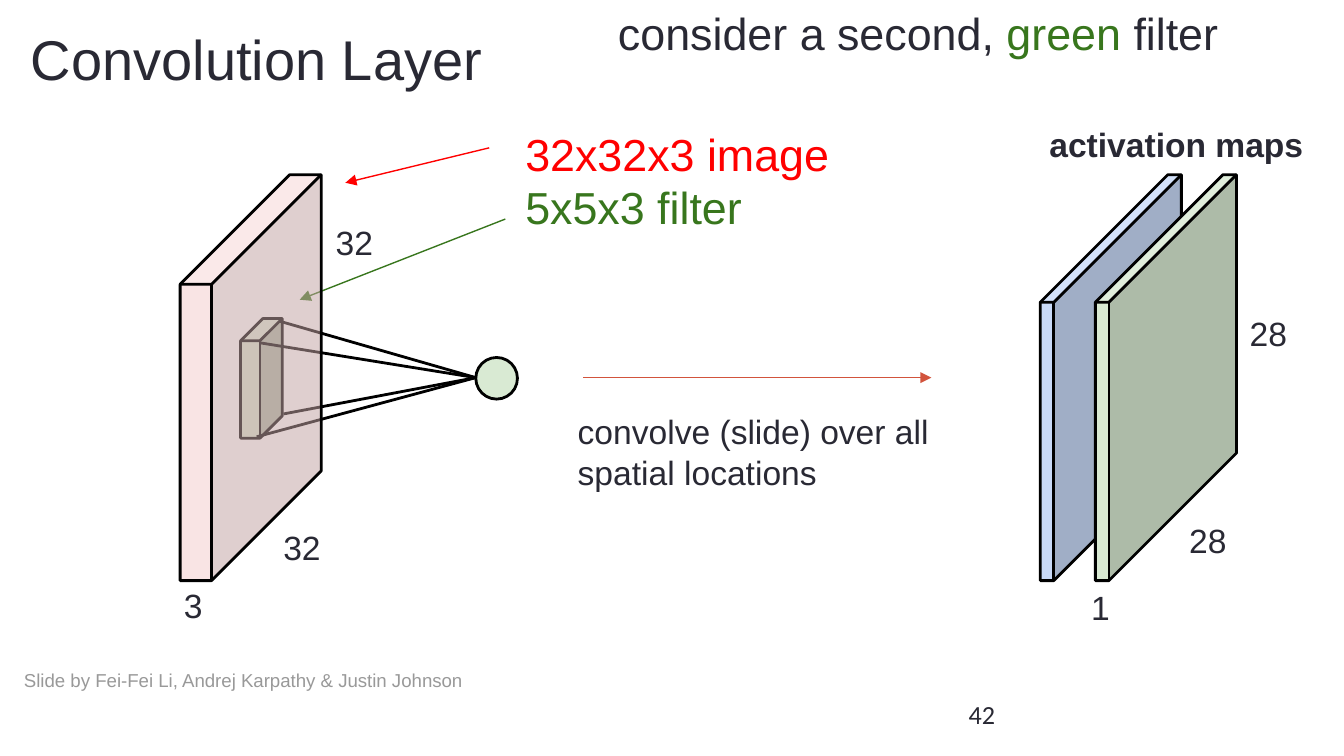
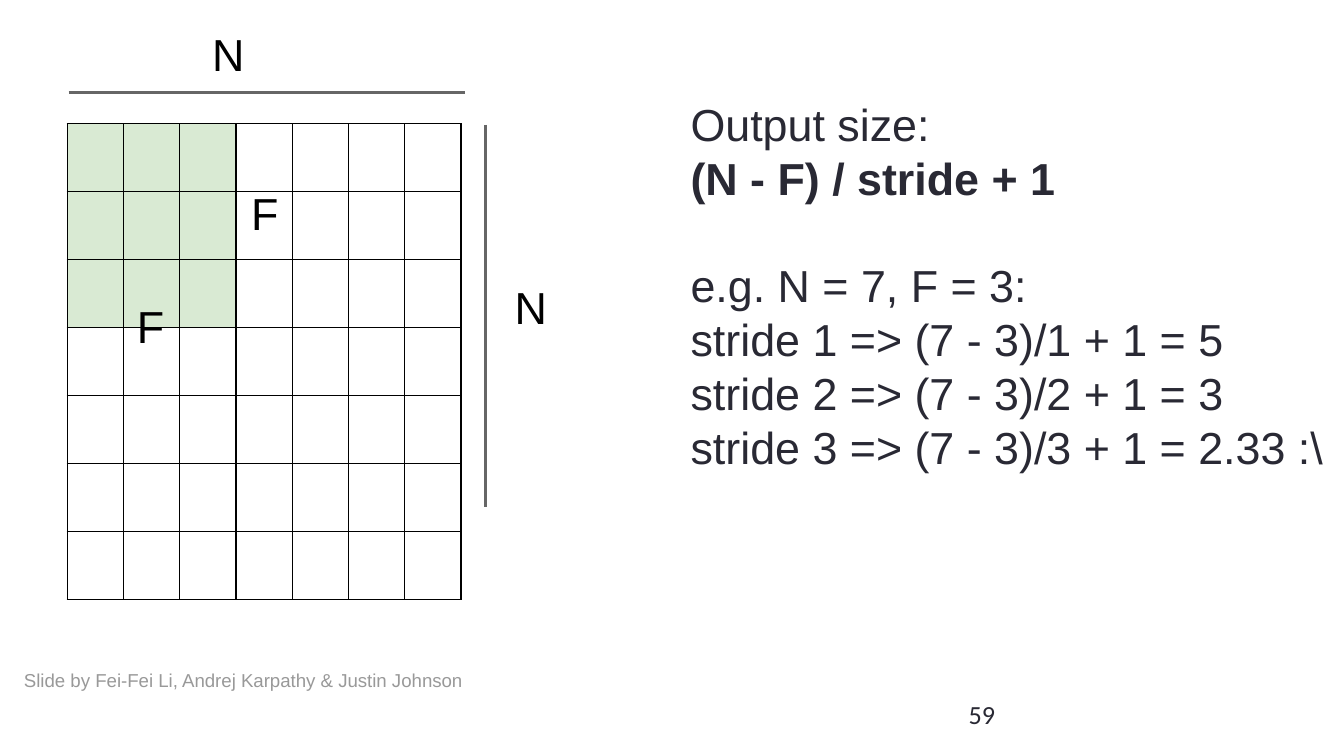
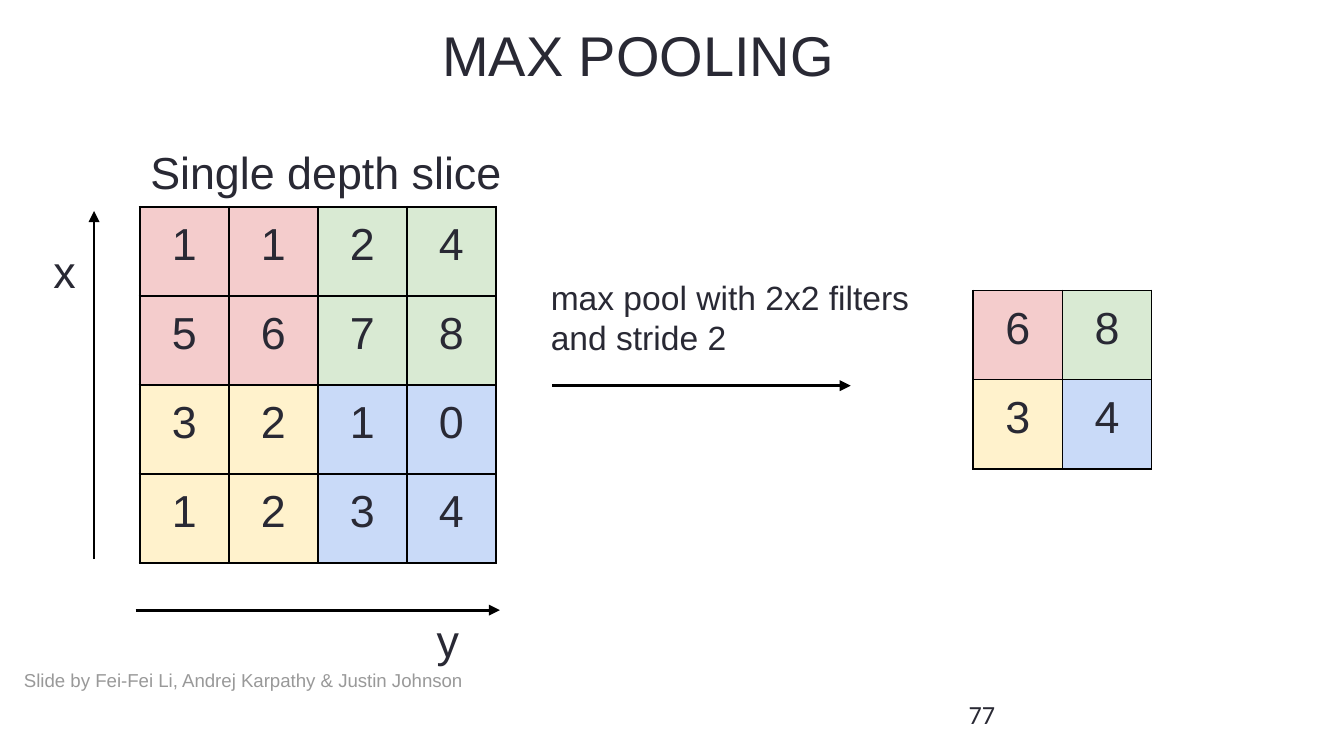
"""Three lecture slides on convolution layers, output size and max pooling."""
from dataclasses import dataclass
from typing import NamedTuple, Optional, Sequence

from lxml import etree
from pptx import Presentation
from pptx import util as u
from pptx.dml import color
from pptx.enum import shapes, text
from pptx.oxml import ns

INK, BLACK, GREY, MUTED = "292934", "000000", "666666", "999999"
RED, GREEN, RUST = "FF0000", "38761D", "D2533C"
PINK, MINT, CREAM, SKY, WHITE = "F4CCCC", "D9EAD3", "FFF2CC", "C9DAF8", "FFFFFF"
INSET = u.Inches(0.1)
TITLE_ONLY, BLANK = 5, 6
CREDIT = "Slide by Fei-Fei Li, Andrej Karpathy & Justin Johnson"


class Box(NamedTuple):
    left: float
    top: float
    width: float
    height: float


class Point(NamedTuple):
    x: float
    y: float


class Run(NamedTuple):
    words: str
    hue: str = INK
    bold: bool = False


@dataclass
class Line:
    runs: Sequence[Run]
    space_before: float = 0


@dataclass
class Label:
    box: Box
    lines: Sequence[Line]
    size: float = 18
    font: str = "Arial"
    middle: bool = False


@dataclass
class Stroke:
    start: Point
    end: Point
    hue: str = BLACK
    width: float = 1.5
    arrow: bool = False


@dataclass
class Solid:
    box: Box
    fill: str
    depth: Optional[float] = None
    opacity: int = 100


@dataclass
class Grid:
    box: Box
    fills: Sequence[Sequence[Optional[str]]]
    values: Sequence[str] = ()
    border: float = 0.75


def rgb(hue: str) -> color.RGBColor:
    return color.RGBColor.from_string(hue)


def inches(lengths: Sequence[float]) -> list:
    return [u.Inches(length) for length in lengths]


def label(box: Box, words: str, size: float = 18, hue: str = INK, bold: bool = False) -> Label:
    return Label(box, [Line([Run(words, hue, bold)])], size)


def add_run(paragraph, run: Run, size: float, font: str) -> None:
    piece = paragraph.add_run()
    piece.text = run.words
    piece.font.size = u.Pt(size)
    piece.font.name = font
    piece.font.bold = run.bold
    piece.font.color.rgb = rgb(run.hue)


def write(frame, content: Label) -> None:
    frame.word_wrap = True
    frame.auto_size = text.MSO_AUTO_SIZE.NONE
    frame.vertical_anchor = text.MSO_ANCHOR.MIDDLE if content.middle else text.MSO_ANCHOR.TOP
    frame.margin_left = frame.margin_right = INSET
    frame.margin_top = frame.margin_bottom = INSET
    for index, line in enumerate(content.lines):
        paragraph = frame.add_paragraph() if index else frame.paragraphs[0]
        paragraph.alignment = text.PP_ALIGN.LEFT
        if line.space_before:
            paragraph.space_before = u.Pt(line.space_before)
        for run in line.runs:
            add_run(paragraph, run, content.size, content.font)


def draw_label(slide, content: Label) -> None:
    write(slide.shapes.add_textbox(*inches(content.box)).text_frame, content)


def draw_title(slide, box: Box, words: str) -> None:
    title = slide.shapes.title
    title.left, title.top, title.width, title.height = inches(box)
    write(title.text_frame, label(box, words, 30))


def draw_stroke(slide, stroke: Stroke) -> None:
    connector = slide.shapes.add_connector(
        shapes.MSO_CONNECTOR.STRAIGHT, *inches(stroke.start + stroke.end))
    connector.line.color.rgb = rgb(stroke.hue)
    connector.line.width = u.Pt(stroke.width)
    if stroke.arrow:
        outline = connector._element.spPr.find(ns.qn("a:ln"))
        etree.SubElement(outline, ns.qn("a:tailEnd"), type="triangle")
    etree.SubElement(connector._element.spPr, ns.qn("a:effectLst"))


def draw_solid(slide, solid: Solid) -> None:
    kind = shapes.MSO_SHAPE.OVAL if solid.depth is None else shapes.MSO_SHAPE.CUBE
    body = slide.shapes.add_shape(kind, *inches(solid.box))
    body.shadow.inherit = False
    if solid.depth is not None:
        body.adjustments[0] = solid.depth
    body.fill.solid()
    body.fill.fore_color.rgb = rgb(solid.fill)
    if solid.opacity < 100:
        tint = body._element.spPr.find(".//" + ns.qn("a:srgbClr"))
        etree.SubElement(tint, ns.qn("a:alpha"), val=str(solid.opacity * 1000))
    body.line.color.rgb = rgb(BLACK)
    body.line.width = u.Pt(1.5)


def add_borders(cell, width: float) -> None:
    properties = cell._tc.get_or_add_tcPr()
    for index, side in enumerate(("lnL", "lnR", "lnT", "lnB")):
        edge = etree.Element(ns.qn(f"a:{side}"), w=str(u.Pt(width)))
        paint = etree.SubElement(edge, ns.qn("a:solidFill"))
        etree.SubElement(paint, ns.qn("a:srgbClr"), val=BLACK)
        properties.insert(index, edge)


def draw_grid(slide, grid: Grid) -> None:
    rows, columns = len(grid.fills), len(grid.fills[0])
    table = slide.shapes.add_table(rows, columns, *inches(grid.box)).table
    table.first_row = table.horz_banding = False
    for column in table.columns:
        column.width = u.Inches(grid.box.width / columns)
    for row in table.rows:
        row.height = u.Inches(grid.box.height / rows)
    for r, fills in enumerate(grid.fills):
        for c, fill in enumerate(fills):
            cell = table.cell(r, c)
            cell.margin_left = cell.margin_right = INSET
            cell.margin_top = cell.margin_bottom = INSET
            if fill:
                cell.fill.solid()
                cell.fill.fore_color.rgb = rgb(fill)
            else:
                cell.fill.background()
            add_borders(cell, grid.border)
            if grid.values:
                paragraph = cell.text_frame.paragraphs[0]
                paragraph.alignment = text.PP_ALIGN.CENTER
                add_run(paragraph, Run(grid.values[r][c]), 24, "Arial")


def draw_all(slide, parts: Sequence) -> None:
    drawers = {Label: draw_label, Stroke: draw_stroke, Solid: draw_solid, Grid: draw_grid}
    for part in parts:
        drawers[type(part)](slide, part)


def start_slide(deck, layout: int, number: int):
    slide = deck.slides.add_slide(deck.slide_layouts[layout])
    credit = Line([Run(CREDIT, MUTED)])
    draw_all(slide, [
        Label(Box(0.08, 4.85, 3.61, 0.42), [credit], 10, middle=True),
        Label(Box(7.11, 5.1, 0.6, 0.43), [Line([Run(str(number))])], 14, "Calibri", True),
    ])
    return slide


def convolution_slide(deck) -> None:
    slide = start_slide(deck, TITLE_ONLY, 42)
    draw_title(slide, Box(0.13, 0.08, 8.42, 0.69), "Convolution Layer")
    neuron = Point(3.54, 2.81)
    filter_corners = [Point(1.91, 3.25), Point(1.93, 2.55), Point(2.08, 2.39), Point(2.11, 3.08)]
    sizes = [
        ("32", 2.01, 3.82), ("32", 2.4, 1.55), ("3", 1.27, 4.25),
        ("1", 8.02, 4.27), ("28", 8.75, 3.77), ("28", 9.2, 2.23),
    ]
    activation_maps = [
        Solid(Box(left, 1.3, 1.05, 3.02), fill, 0.904)
        for left, fill in ((7.74, SKY), (8.15, MINT))
    ]
    draw_all(slide, [
        *activation_maps,
        Solid(Box(1.79, 2.37, 0.31, 0.89), MINT, 0.534),
        Solid(Box(neuron.x, 2.66, 0.31, 0.31), MINT),
        *(Stroke(corner, neuron) for corner in filter_corners),
        *(label(Box(left, top, 0.54, 0.34), size) for size, left, top in sizes),
        Label(Box(3.81, 0.84, 3.98, 0.6),
              [Line([Run("32x32x3 image", RED)]), Line([Run("5x5x3 filter", GREEN)])], 24),
        Stroke(Point(3.64, 1.1), Point(2.57, 1.36), RED, 0.75, True),
        Stroke(Point(3.76, 1.63), Point(2.23, 2.23), GREEN, 0.75, True),
        Stroke(Point(4.34, 2.81), Point(6.93, 2.81), RUST, 0.75, True),
        label(Box(4.2, 2.96, 3.58, 0.89), "convolve (slide) over all spatial locations"),
        label(Box(7.71, 0.82, 2.26, 0.59), "activation maps", bold=True),
        Solid(Box(1.34, 1.3, 1.05, 3.02), PINK, 0.777, 52),
        Label(Box(4.5, -0.06, 5.5, 0.31),
              [Line([Run("consider a second, "), Run("green ", GREEN), Run("filter")])], 24),
    ])


def output_size_slide(deck) -> None:
    slide = start_slide(deck, BLANK, 59)
    window = [[MINT] * 3 + [WHITE] * 4] * 3 + [[None] * 7] * 4
    dimensions = [("N", 1.48, 0.1), ("N", 3.73, 1.98), ("F", 0.92, 2.12), ("F", 1.77, 1.28)]
    strides = [(1, "5"), (2, "3"), (3, "2.33 :\\")]
    draw_all(slide, [
        Grid(Box(0.5, 0.92, 2.93, 3.5), window),
        Stroke(Point(0.51, 0.69), Point(3.46, 0.69), GREY),
        Stroke(Point(3.61, 0.93), Point(3.61, 3.77), GREY),
        *(label(Box(left, top, 0.85, 0.43), name, 24, BLACK) for name, left, top in dimensions),
        Label(Box(5.04, 0.62, 4.96, 2.64), [
            Line([Run("Output size:")]),
            Line([Run("(N - F) / stride + 1", bold=True)]),
            Line([Run("e.g. N = 7, F = 3:")], space_before=28.8),
            *(Line([Run(f"stride {step} => (7 - 3)/{step} + 1 = {result}")])
              for step, result in strides),
        ], 24),
    ])


def max_pooling_slide(deck) -> None:
    slide = start_slide(deck, TITLE_ONLY, 77)
    draw_title(slide, Box(3.19, 0.05, 4.67, 0.72), "MAX POOLING")
    pooled = [[PINK, MINT], [CREAM, SKY]]
    depth_slice = [[pooled[r // 2][c // 2] for c in range(4)] for r in range(4)]
    draw_all(slide, [
        Grid(Box(1.04, 1.54, 2.65, 2.65), depth_slice, ["1124", "5678", "3210", "1234"], 1.5),
        label(Box(1.02, 0.98, 2.86, 0.62), "Single depth slice", 24),
        Stroke(Point(0.7, 4.16), Point(0.7, 1.57), arrow=True),
        label(Box(0.3, 1.71, 0.43, 0.51), "x", 24),
        Stroke(Point(1.01, 4.54), Point(3.72, 4.54), arrow=True),
        label(Box(3.15, 4.46, 0.43, 0.4), "y", 24),
        Stroke(Point(4.11, 2.87), Point(6.33, 2.87), arrow=True),
        label(Box(4, 1.96, 2.93, 0.8), "max pool with 2x2 filters and stride 2"),
        Grid(Box(7.24, 2.16, 1.33, 1.33), pooled, ["68", "34"]),
    ])


def main() -> None:
    deck = Presentation()
    deck.slide_width = u.Inches(10)
    deck.slide_height = deck.slide_width * 9 // 16
    convolution_slide(deck)
    output_size_slide(deck)
    max_pooling_slide(deck)
    deck.save("out.pptx")


if __name__ == "__main__":
    main()
